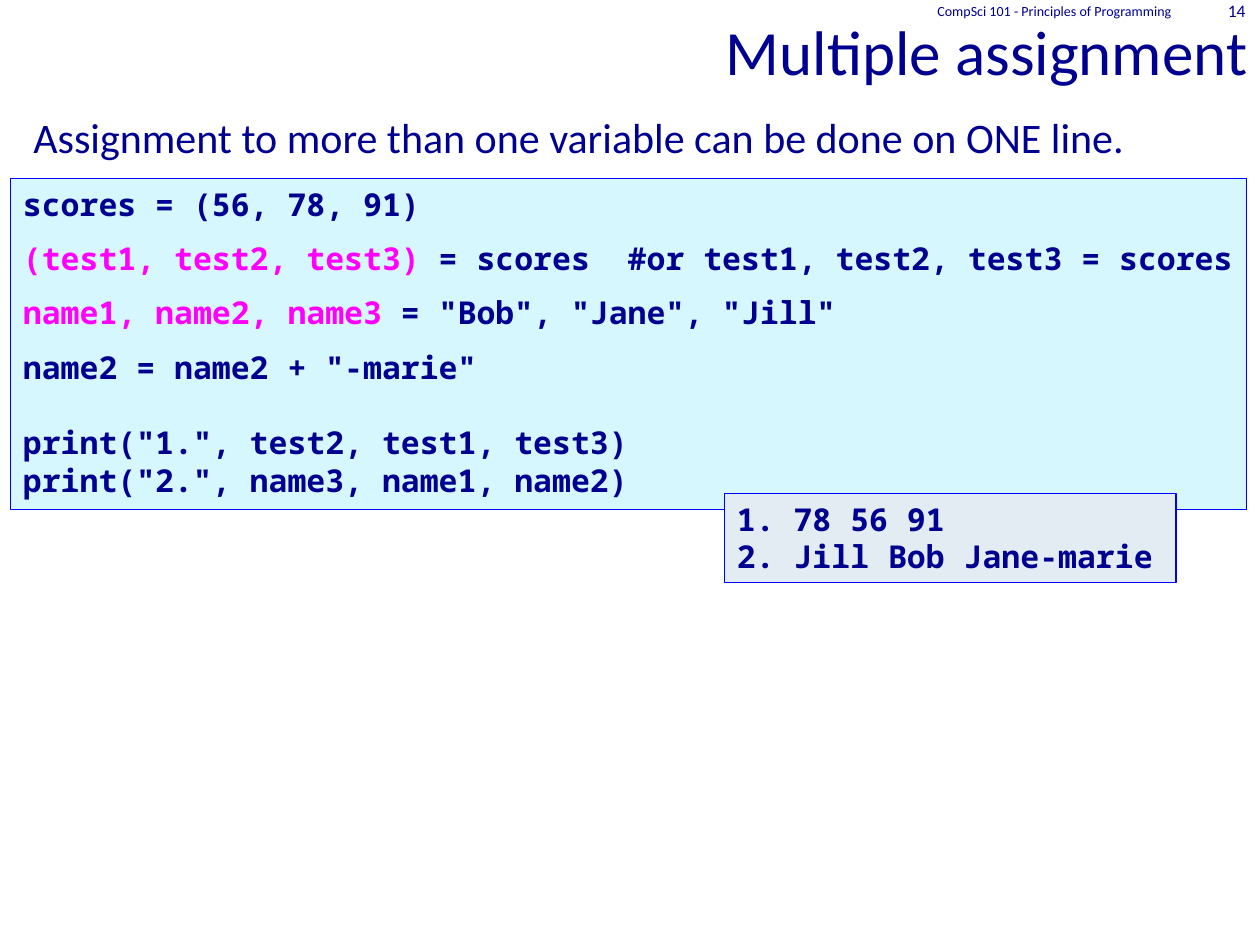
from pptx import Presentation
from pptx.dml.color import RGBColor
from pptx.enum.shapes import MSO_SHAPE
from pptx.enum.text import MSO_ANCHOR, PP_ALIGN
from pptx.util import Inches, Pt

COLORS = {
    "text": "000090",
    "highlight": "FF00FF",
    "border": "0000FF",
    "code": "D7F7FF",
    "output": "E3EBF3",
}
WIDTH, HEIGHT = Inches(10), Inches(7.5)
COLUMNS, ROWS = 120, 90
LINE_GAP, BLOCK_GAP = 9.5, 21.6

CODE = [
    ("", "scores = (56, 78, 91)", 0),
    ("(test1, test2, test3) ", "= scores  #or test1, test2, test3 = scores", LINE_GAP),
    ("name1, name2, name3 ", '= "Bob", "Jane", "Jill"', LINE_GAP),
    ("", 'name2 = name2 + "-marie"', LINE_GAP),
    ("", 'print("1.", test2, test1, test3)', BLOCK_GAP),
    ("", 'print("2.", name3, name1, name2)', 0),
]
OUTPUT = [("", "1. 78 56 91", 0), ("", "2. Jill Bob Jane-marie", 0)]


def color(name):
    return RGBColor.from_string(COLORS[name])


def grid_box(column, row, columns, rows):
    return (
        int(WIDTH * column / COLUMNS),
        int(HEIGHT * row / ROWS),
        int(WIDTH * columns / COLUMNS),
        int(HEIGHT * rows / ROWS),
    )


def style_font(paragraph, name, size, bold=False):
    paragraph.font.name = name
    paragraph.font.size = Pt(size)
    paragraph.font.bold = bold
    paragraph.font.color.rgb = color("text")


def add_label(slide, box, text, size, align=PP_ALIGN.RIGHT, anchor=MSO_ANCHOR.MIDDLE):
    frame = slide.shapes.add_textbox(*grid_box(*box)).text_frame
    frame.word_wrap = True
    frame.vertical_anchor = anchor
    paragraph = frame.paragraphs[0]
    paragraph.text = text
    paragraph.alignment = align
    style_font(paragraph, "Calibri", size)
    return paragraph


def add_code_panel(slide, box, fill, lines):
    shape = slide.shapes.add_shape(MSO_SHAPE.RECTANGLE, *grid_box(*box))
    shape.shadow.inherit = False
    shape.fill.solid()
    shape.fill.fore_color.rgb = color(fill)
    shape.line.color.rgb = color("border")
    shape.line.width = Pt(0.75)
    frame = shape.text_frame
    frame.word_wrap = True
    frame.vertical_anchor = MSO_ANCHOR.TOP
    for index, (highlight, code, gap) in enumerate(lines):
        paragraph = frame.add_paragraph() if index else frame.paragraphs[0]
        paragraph.alignment = PP_ALIGN.LEFT
        paragraph.space_before = Pt(gap)
        style_font(paragraph, "Noto Sans Mono", 18, bold=True)
        if highlight:
            run = paragraph.add_run()
            run.text = highlight
            run.font.color.rgb = color("highlight")
        paragraph.add_run().text = code


def main():
    presentation = Presentation()
    presentation.slide_width, presentation.slide_height = WIDTH, HEIGHT
    slide = presentation.slides.add_slide(presentation.slide_layouts[6])

    add_label(slide, (0, 0, 120, 9), "Multiple assignment", 36, anchor=MSO_ANCHOR.BOTTOM)
    statement = add_label(
        slide,
        (2, 10, 115, 61.5),
        "Assignment to more than one variable can be done on ONE line.",
        24,
        PP_ALIGN.LEFT,
        MSO_ANCHOR.TOP,
    )
    statement.space_before = Pt(4.8)
    add_code_panel(slide, (1, 17, 117.7, 31.5), "code", CODE)
    add_code_panel(slide, (69, 47, 43, 8.5), "output", OUTPUT)
    add_label(slide, (76.8, 0, 36, 2), "CompSci 101 - Principles of Programming", 8)
    add_label(slide, (112.8, 0, 7, 2), "14", 10)

    presentation.save("out.pptx")


if __name__ == "__main__":
    main()
